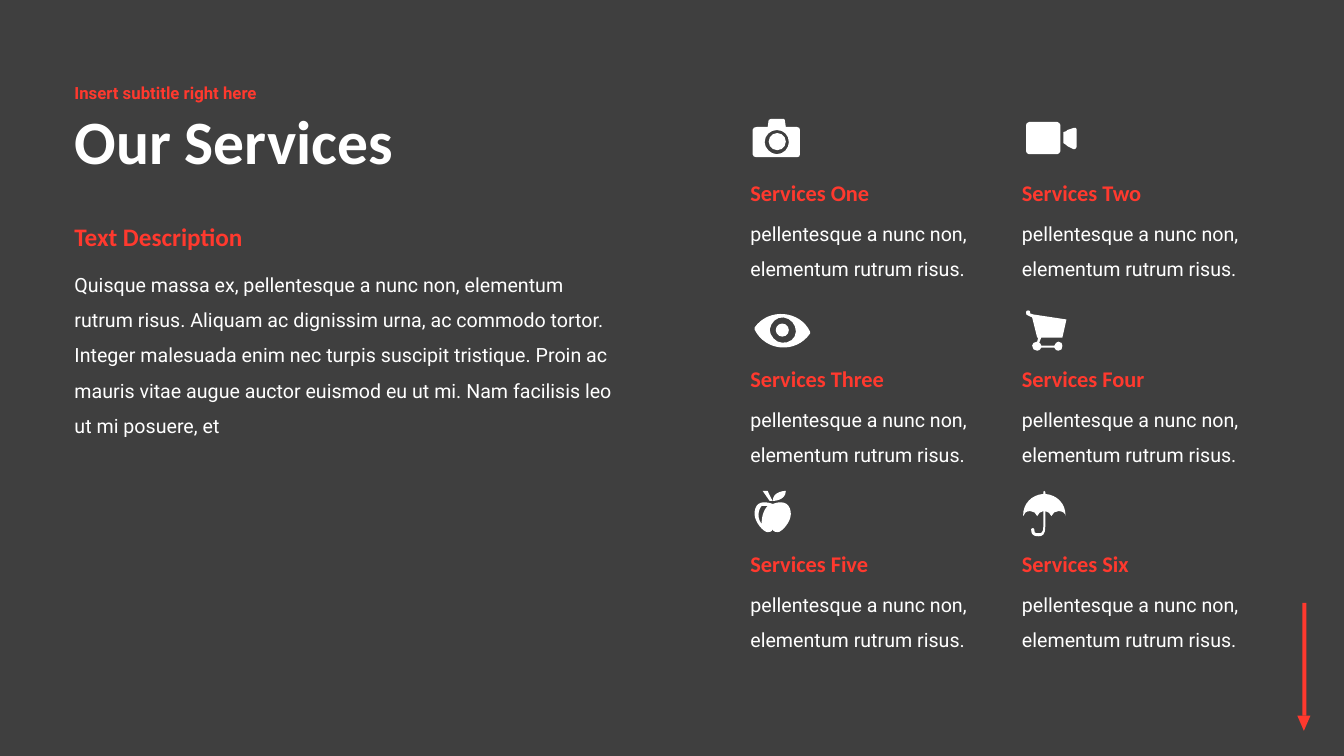
from dataclasses import dataclass

from lxml import etree
from pptx import Presentation
from pptx import util as u
from pptx.dml.color import RGBColor
from pptx.enum import shapes, text
from pptx.oxml import ns

GRID = u.Inches(0.1)  # side of one grid square; the slide is 133.33 by 75 squares
ICON_UNIT = GRID / 10  # icon outlines are drawn in tenths of a square


def squares(count: float) -> u.Emu:
    return u.Emu(round(count * GRID))


@dataclass(frozen=True)
class TextStyle:
    font: str
    size: float
    color: RGBColor
    bold: bool = False
    spacing: float = 1.0
    anchor: text.MSO_ANCHOR = text.MSO_ANCHOR.TOP
    grows: bool = True


@dataclass(frozen=True)
class Theme:
    background = RGBColor(0x3F, 0x3F, 0x3F)
    accent = RGBColor(0xFF, 0x39, 0x2E)
    light = RGBColor(0xFF, 0xFF, 0xFF)
    title = TextStyle("Calibri", 44, light, True, 0.9, text.MSO_ANCHOR.MIDDLE, False)
    subtitle = TextStyle("Roboto", 12, accent, True, 0.9, text.MSO_ANCHOR.MIDDLE, False)
    heading = TextStyle("Calibri", 18, accent, True)
    service = TextStyle("Calibri", 16, accent, True)
    body = TextStyle("Roboto", 14, light, spacing=1.5)


THEME = Theme()


@dataclass(frozen=True)
class Label:
    """Text with its column, row, width and height in grid squares."""
    words: str
    column: float
    row: float
    columns: float
    rows: float
    style: TextStyle


@dataclass(frozen=True)
class Part:
    """A preset shape with its place and size in grid squares."""
    preset: shapes.MSO_SHAPE
    column: float
    row: float
    columns: float
    rows: float
    rotation: float = 0


@dataclass(frozen=True)
class Disc:
    column: float
    row: float
    diameter: float


@dataclass(frozen=True)
class Service:
    name: str
    outlines: tuple[str, ...]
    disc: Disc | None = None


INTRO = (
    Label("Our Services", 6.4, 9.2, 75, 10.3, THEME.title),
    Label("Insert subtitle right here", 6.4, 7.4, 75, 3.8, THEME.subtitle),
    Label("Quisque massa ex, pellentesque a nunc non, elementum rutrum risus. "
          "Aliquam ac dignissim urna, ac commodo tortor. Integer malesuada enim nec "
          "turpis suscipit tristique. Proin ac mauris vitae augue auctor euismod eu "
          "ut mi. Nam facilisis leo ut mi posuere, et",
          6.4, 25.4, 56.5, 14.8, THEME.body),
    Label("Text Description", 6.4, 21.45, 29.2, 4, THEME.heading),
)
ARROW = (
    Part(shapes.MSO_SHAPE.RECTANGLE, 123.8, 65.2, 11.2, 0.4, rotation=90),
    Part(shapes.MSO_SHAPE.ISOSCELES_TRIANGLE, 128.7, 71, 1.3, 1.5, rotation=180),
)

SERVICE_TEXT = "pellentesque a nunc non, elementum rutrum risus."
SERVICE_COLUMNS = 2
FIRST_COLUMN, FIRST_ROW = 73.46, 11.8
COLUMN_PITCH, ROW_PITCH = 26.94, 18.4

# Outlines: M starts a contour, L adds a line, C adds a cubic curve.
CAMERA = ("M 56 8 L 45 8 L 44 1 C 44 0 43 0 43 0 L 30 0 C 29 0 29 0 28 1 L 27 8 L 16 8 "
          "C 14 8 12 9 12 11 L 12 35 C 12 37 14 38 16 38 L 56 38 C 58 38 59 37 59 35 "
          "L 59 11 C 59 9 58 8 56 8 M 36 35 C 30 35 24 29 24 23 C 24 16 30 11 36 11 "
          "C 43 11 48 16 48 23 C 48 29 43 35 36 35",)
VIDEO = ("M 45 3 L 17 3 C 15 3 14 5 14 6 L 14 32 C 14 33 15 35 17 35 L 45 35 "
         "C 46 35 48 33 48 32 L 48 6 C 48 5 46 3 45 3",
         "M 61 9 L 55 11 C 54 12 53 13 51 13 L 51 24 C 53 25 54 26 55 27 L 61 30 "
         "C 62 30 64 30 64 28 L 64 10 C 64 9 62 8 61 9")
EYE = ("M 14 23 L 14 25 C 25 47 55 49 69 29 L 69 27 C 59 6 28 3 14 23 "
       "M 41 38 C 35 38 29 31 29 25 C 30 18 36 12 43 13 C 50 14 55 20 55 27 "
       "C 55 34 48 39 41 38",)
CART = ("M 46 37 C 44 37 43 39 42 41 L 29 41 C 29 39 28 39 27 38 L 29 33 L 50 33 "
        "L 54 15 L 21 10 L 18 9 L 18 8 C 18 7 18 6 16 6 C 14 6 14 7 14 8 "
        "C 14 10 14 11 16 11 L 20 13 L 25 33 L 26 33 L 25 37 C 22 37 20 39 20 41 "
        "C 20 44 22 46 25 46 C 27 46 28 45 29 43 L 42 43 C 43 45 44 46 46 46 "
        "C 49 46 50 44 50 41 C 50 39 49 37 46 37",)
APPLE = ("M 32 14 C 18 9 14 16 14 24 C 14 32 23 42 27 42 C 32 42 32 39 32 39 "
         "C 32 39 32 42 37 42 C 41 42 50 32 50 24 C 50 16 45 9 32 14 "
         "M 21 34 C 14 24 21 16 21 16 L 27 16 C 27 16 21 21 21 34",
         "M 32 11 C 29 6 27 1 27 1 L 22 1 L 29 11 L 32 11",
         "M 45 1 C 45 1 32 1 32 11 C 32 11 45 11 45 1")
UMBRELLA = ("M 33 4 L 33 2 C 33 2 33 1 32 1 C 31 1 31 2 31 2 L 31 4 C 19 5 11 14 11 25 "
            "L 11 26 C 12 23 14 21 18 21 C 21 21 24 23 25 26 C 26 24 28 21 31 21 "
            "L 31 36 C 31 43 29 43 26 43 C 22 43 22 42 22 39 C 22 38 21 38 21 38 "
            "C 20 38 19 38 19 39 C 19 42 19 46 26 46 C 30 46 33 45 33 36 L 33 21 "
            "C 36 21 38 24 39 26 C 40 23 43 21 46 21 C 50 21 53 23 53 26 L 53 25 "
            "C 53 14 45 5 33 4",)

SERVICES = (
    Service("Services One", CAMERA, Disc(2.8, 1.4, 1.7)),
    Service("Services Two", VIDEO),
    Service("Services Three", EYE, Disc(3.5, 1.9, 1.3)),
    Service("Services Four", CART),
    Service("Services Five", APPLE),
    Service("Services Six", UMBRELLA),
)


def add_label(page, label: Label) -> None:
    style = label.style
    box = page.shapes.add_textbox(squares(label.column), squares(label.row),
                                  squares(label.columns), squares(label.rows))
    frame = box.text_frame
    frame.word_wrap = True
    frame.vertical_anchor = style.anchor
    if style.grows:
        frame.auto_size = text.MSO_AUTO_SIZE.SHAPE_TO_FIT_TEXT
    para = frame.paragraphs[0]
    para.text = label.words
    para.line_spacing = style.spacing
    para.font.name, para.font.size = style.font, u.Pt(style.size)
    para.font.bold, para.font.color.rgb = style.bold, style.color


def paint(shape, color: RGBColor) -> None:
    shape.shadow.inherit = False
    shape.fill.solid()
    shape.fill.fore_color.rgb = color
    shape.line.fill.background()


def add_part(group, part: Part, color: RGBColor) -> None:
    shape = group.shapes.add_shape(part.preset, squares(part.column), squares(part.row),
                                   squares(part.columns), squares(part.rows))
    shape.rotation = part.rotation
    paint(shape, color)


def add_outline(group, outline: str, column: float, row: float) -> None:
    """Draw all points as lines, then join each curve's three points into a curve."""
    builder = None
    for contour in outline.split("M")[1:]:
        values = [float(word) * ICON_UNIT for word in contour.split() if word not in "LC"]
        start, *points = zip(values[::2], values[1::2])
        if builder is None:
            builder = group.shapes.build_freeform(*start, scale=1.0)
        else:
            builder.move_to(*start)
        builder.add_line_segments(points, close=True)
    shape = builder.convert_to_shape(squares(column), squares(row))
    lines = iter(list(shape._element.iter(ns.qn("a:lnTo"))))
    for command in (word for word in outline.split() if word in "LC"):
        line = next(lines)
        if command == "C":
            line.tag = ns.qn("a:cubicBezTo")
            for _ in range(2):
                extra = next(lines)
                line.append(extra[0])
                extra.getparent().remove(extra)
    paint(shape, THEME.light)


def add_icon(page, service: Service, column: float, row: float) -> None:
    icon = page.shapes.add_group_shape()
    for outline in service.outlines:
        add_outline(icon, outline, column, row)
    if service.disc:
        disc = service.disc
        add_part(icon, Part(shapes.MSO_SHAPE.OVAL, column + disc.column, row + disc.row,
                            disc.diameter, disc.diameter), THEME.light)


def main() -> None:
    deck = Presentation()
    deck.slide_width, deck.slide_height = squares(133.33), squares(75)
    page = deck.slides.add_slide(deck.slide_layouts[6])
    page.background.fill.solid()
    page.background.fill.fore_color.rgb = THEME.background
    arrow = page.shapes.add_group_shape()
    for part in ARROW:
        add_part(arrow, part, THEME.accent)
    for label in INTRO:
        add_label(page, label)
    for index, service in enumerate(SERVICES):
        row_index, column_index = divmod(index, SERVICE_COLUMNS)
        column = FIRST_COLUMN + column_index * COLUMN_PITCH
        row = FIRST_ROW + row_index * ROW_PITCH
        add_icon(page, service, column, row)
        add_label(page, Label(SERVICE_TEXT, column, row + 8.57, 25.7, 7.7, THEME.body))
        add_label(page, Label(service.name, column, row + 5.5, 21.7, 3.7, THEME.service))
    deck.save("out.pptx")


if __name__ == "__main__":
    main()
